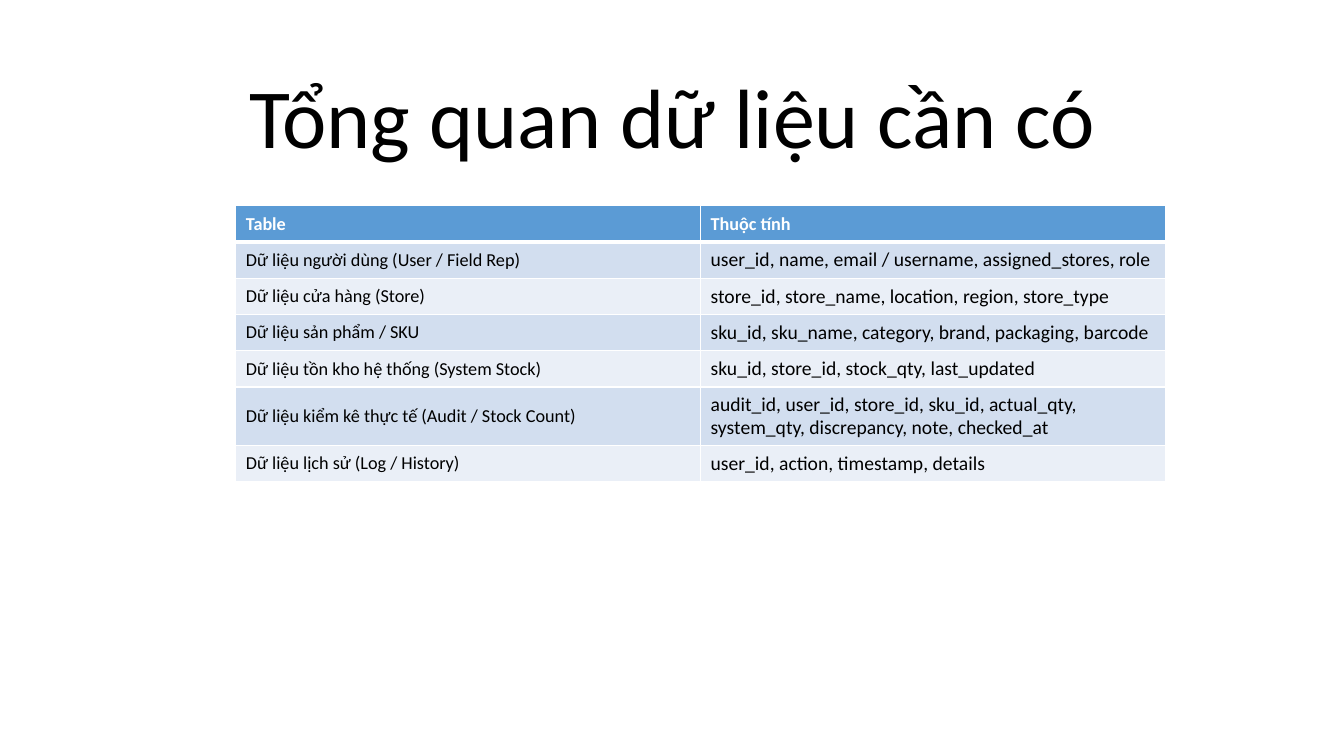
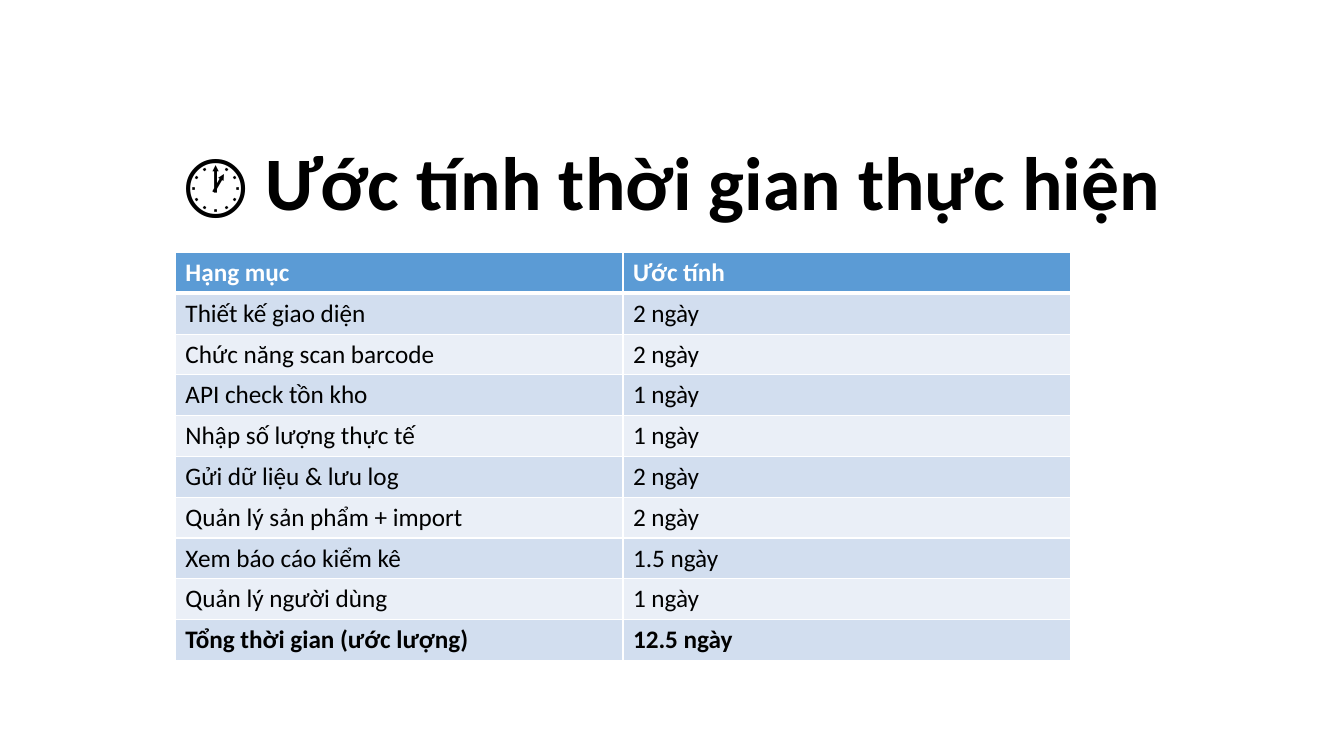
from lxml import etree
from pptx import Presentation
from pptx.dml.color import RGBColor
from pptx.enum.text import MSO_ANCHOR, PP_ALIGN
from pptx.oxml.ns import qn
from pptx.util import Pt

BOTTOM = MSO_ANCHOR.BOTTOM
MIDDLE = MSO_ANCHOR.MIDDLE
CENTER = PP_ALIGN.CENTER
PX = 9144
FONT = "Calibri"
COLORS = {
    "ink": "000000",
    "paper": "FFFFFF",
    "head": "5B9BD5",
    "odd": "D2DEEF",
    "even": "EAEFF7",
}

SLIDES = [
    {
        "title": "Tổng quan dữ liệu cần có",
        "place": (167, 57, 1000, 113),
        "size": 60,
        "bold": False,
        "table": {
            "origin": (234, 204),
            "width": 461,
            "heights": [36] * 5 + [58, 36],
            "sizes": (13, 14),
            "total": False,
            "rows": [
                ("Table", "Thuộc tính"),
                ("Dữ liệu người dùng (User / Field Rep)",
                 "user_id, name, email / username, assigned_stores, role"),
                ("Dữ liệu cửa hàng (Store)",
                 "store_id, store_name, location, region, store_type"),
                ("Dữ liệu sản phẩm / SKU",
                 "sku_id, sku_name, category, brand, packaging, barcode"),
                ("Dữ liệu tồn kho hệ thống (System Stock)",
                 "sku_id, store_id, stock_qty, last_updated"),
                ("Dữ liệu kiểm kê thực tế (Audit / Stock Count)",
                 "audit_id, user_id, store_id, sku_id, actual_qty, "
                 "system_qty, discrepancy, note, checked_at"),
                ("Dữ liệu lịch sử (Log / History)",
                 "user_id, action, timestamp, details"),
            ],
        },
    },
    {
        "title": "🕐 Ước tính thời gian thực hiện",
        "place": (167, 133, 1000, 97),
        "size": 54,
        "bold": True,
        "table": {
            "origin": (174, 250),
            "width": 444,
            "heights": [41] + [40.5] * 9,
            "sizes": (18, 18),
            "total": True,
            "rows": [
                ("Hạng mục", "Ước tính"),
                ("Thiết kế giao diện", "2 ngày"),
                ("Chức năng scan barcode", "2 ngày"),
                ("API check tồn kho", "1 ngày"),
                ("Nhập số lượng thực tế", "1 ngày"),
                ("Gửi dữ liệu & lưu log", "2 ngày"),
                ("Quản lý sản phẩm + import", "2 ngày"),
                ("Xem báo cáo kiểm kê", "1.5 ngày"),
                ("Quản lý người dùng", "1 ngày"),
                ("Tổng thời gian (ước lượng)", "12.5 ngày"),
            ],
        },
    },
]


def px(value):
    return round(value * PX)


def rgb(name):
    return RGBColor.from_string(COLORS[name])


def write(para, text, size, color, bold):
    run = para.add_run()
    run.text = text
    font = run.font
    font.name = FONT
    font.size = Pt(size)
    font.bold = bold
    font.color.rgb = rgb(color)


def add_title(slide, data):
    box = slide.shapes.add_textbox(*map(px, data["place"]))
    frame = box.text_frame
    frame.word_wrap = True
    frame.vertical_anchor = BOTTOM
    para = frame.paragraphs[0]
    para.alignment = CENTER
    para.line_spacing = 0.9
    write(para, data["title"], data["size"], "ink", data["bold"])


def add_edges(cell, row):
    props = cell._tc.get_or_add_tcPr()
    widths = {"L": 1, "R": 1, "T": 3 if row == 1 else 1, "B": 3 if row == 0 else 1}
    for side, width in widths.items():
        line = etree.SubElement(props, qn("a:ln" + side), w=str(Pt(width)))
        fill = etree.SubElement(line, qn("a:solidFill"))
        etree.SubElement(fill, qn("a:srgbClr"), val=COLORS["paper"])


def add_grid(slide, data):
    rows, sizes, tall = data["rows"], data["sizes"], data["heights"]
    left, top = data["origin"]
    width = data["width"]
    frame = slide.shapes.add_table(
        len(rows), len(sizes), px(left), px(top),
        px(width * len(sizes)), px(sum(tall)))
    table = frame.table
    table.horz_banding = False
    for column in table.columns:
        column.width = px(width)
    for row, texts in enumerate(rows):
        table.rows[row].height = px(tall[row])
        head = row == 0
        last = data["total"] and row == len(rows) - 1
        shade = "head" if head else "odd" if row % 2 else "even"
        for col, text in enumerate(texts):
            cell = table.cell(row, col)
            cell.vertical_anchor = MIDDLE
            add_edges(cell, row)
            cell.fill.solid()
            cell.fill.fore_color.rgb = rgb(shade)
            write(cell.text_frame.paragraphs[0], text,
                  sizes[0] if head else sizes[col],
                  "paper" if head else "ink", head or last)


def main():
    deck = Presentation()
    deck.slide_width = px(1333.33)
    deck.slide_height = px(750)
    for data in SLIDES:
        slide = deck.slides.add_slide(deck.slide_layouts[6])
        add_title(slide, data)
        add_grid(slide, data["table"])
    deck.save("out.pptx")


if __name__ == "__main__":
    main()
